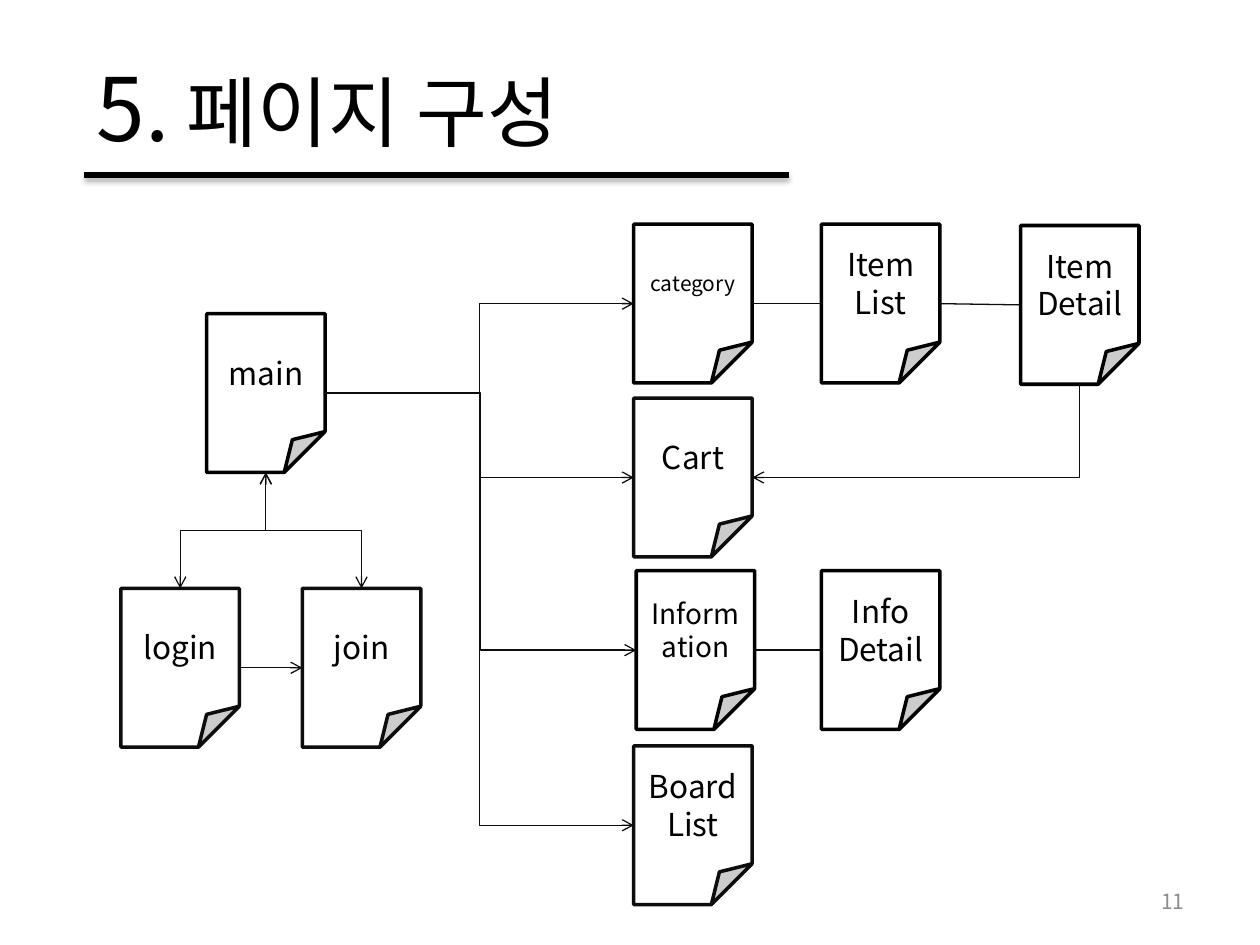
from lxml.etree import SubElement
from pptx import Presentation
from pptx.dml.color import RGBColor
from pptx.enum.shapes import MSO_CONNECTOR as Connector, MSO_SHAPE as Shape
from pptx.enum.text import MSO_ANCHOR as Anchor, PP_ALIGN as Align
from pptx.oxml.ns import qn
from pptx.util import Inches, Pt

FONT = "Noto Sans CJK KR"
BLACK = RGBColor(0x00, 0x00, 0x00)
INK = RGBColor(0x0D, 0x0D, 0x0D)
WHITE = RGBColor(0xFF, 0xFF, 0xFF)
GRAY = RGBColor(0x8C, 0x8C, 0x8C)

PAGE_WIDTH, PAGE_HEIGHT = 0.94, 1.26
FOLD = 34500  # of 100000

# name: (text, left, top, text size, outline)
PAGES = {
    "main": ("main", 1.64, 2.49, 18, BLACK),
    "login": ("login", 0.96, 4.67, 18, INK),
    "join": ("join", 2.40, 4.67, 18, INK),
    "category": ("category", 5.03, 1.78, 12, BLACK),
    "item list": ("Item\nList", 6.52, 1.78, 18, BLACK),
    "item detail": ("Item\nDetail", 8.10, 1.79, 18, BLACK),
    "board": ("Board\nList", 5.03, 5.92, 18, INK),
    "cart": ("Cart", 5.03, 3.16, 18, INK),
    "information": ("Information", 5.05, 4.53, 16, BLACK),
    "info detail": ("Info\nDetail", 6.52, 4.53, 18, BLACK),
}

# (from page, side, to page, side, route, arrowheads)
LINKS = [
    ("login", "top", "main", "bottom", "vertical", ("headEnd", "tailEnd")),
    ("join", "top", "main", "bottom", "vertical", ("headEnd", "tailEnd")),
    ("login", "right", "join", "left", "straight", ("tailEnd",)),
    ("item detail", "bottom", "cart", "right", "corner", ("tailEnd",)),
    ("main", "right", "cart", "left", "horizontal", ("tailEnd",)),
    ("main", "right", "board", "left", "horizontal", ("tailEnd",)),
    ("category", "right", "item list", "left", "straight", ()),
    ("item list", "right", "item detail", "left", "straight", ()),
    ("main", "right", "category", "left", "horizontal", ("tailEnd",)),
    ("information", "right", "info detail", "left", "straight", ()),
    ("main", "right", "information", "left", "horizontal", ("tailEnd",)),
]

# Share of the page's width and height at which each side's midpoint lies
SIDES = {"top": (0.5, 0), "bottom": (0.5, 1), "left": (0, 0.5), "right": (1, 0.5)}


def style_run(run, size, color):
    run.font.name = FONT
    run.font.size = Pt(size)
    run.font.color.rgb = color
    SubElement(run.font._element, qn("a:ea"), typeface=FONT)


def add_text(slide, box, runs, align):
    """Add a one-line text box; runs are (text, size, color)."""
    frame = slide.shapes.add_textbox(*map(Inches, box)).text_frame
    frame.word_wrap = True
    frame.vertical_anchor = Anchor.MIDDLE
    paragraph = frame.paragraphs[0]
    paragraph.alignment = align
    for text, size, color in runs:
        run = paragraph.add_run()
        run.text = text
        style_run(run, size, color)


def add_page(slide, text, left, top, size, outline):
    shape = slide.shapes.add_shape(
        Shape.FOLDED_CORNER, *map(Inches, (left, top, PAGE_WIDTH, PAGE_HEIGHT)))
    # python-pptx lists no adjustment for this preset
    guides = shape._element.spPr.find(qn("a:prstGeom")).find(qn("a:avLst"))
    SubElement(guides, qn("a:gd"), name="adj", fmla=f"val {FOLD}")
    shape.shadow.inherit = False
    shape.fill.solid()
    shape.fill.fore_color.rgb = WHITE
    shape.line.color.rgb = outline
    shape.line.width = Pt(2)
    frame = shape.text_frame
    frame.word_wrap = True
    frame.vertical_anchor = Anchor.MIDDLE
    frame.text = text
    for paragraph in frame.paragraphs:
        paragraph.alignment = Align.CENTER
        style_run(paragraph.runs[0], size, BLACK)


def add_line(slide, kind, start, end, color, width):
    """Add a connector and return it with its empty effect list."""
    connector = slide.shapes.add_connector(kind, *map(Inches, (*start, *end)))
    connector.line.color.rgb = color
    connector.line.width = Pt(width)
    return connector, SubElement(connector._element.spPr, qn("a:effectLst"))


def side_point(name, side):
    _, left, top, _, _ = PAGES[name]
    across, down = SIDES[side]
    return left + across * PAGE_WIDTH, top + down * PAGE_HEIGHT


def quarter_turn_back(start, end):
    """Turn both points a quarter anticlockwise about their midpoint."""
    (x1, y1), (x2, y2) = start, end
    middle_x, middle_y = (x1 + x2) / 2, (y1 + y2) / 2
    half_x, half_y = (x2 - x1) / 2, (y2 - y1) / 2
    return ((middle_x - half_y, middle_y + half_x),
            (middle_x + half_y, middle_y - half_x))


def add_link(slide, source, source_side, target, target_side, route, heads):
    start, end = side_point(source, source_side), side_point(target, target_side)
    leaves_vertically = route in ("vertical", "corner")
    if leaves_vertically:
        start, end = quarter_turn_back(start, end)
    kind = Connector.STRAIGHT if route == "straight" else Connector.ELBOW
    connector, _ = add_line(slide, kind, start, end, INK, 0.75)
    properties = connector._element.spPr
    if leaves_vertically:
        properties.find(qn("a:xfrm")).set("rot", str(90 * 60000))
    if route == "corner":
        properties.find(qn("a:prstGeom")).set("prst", "bentConnector2")
    for head in heads:
        SubElement(properties.find(qn("a:ln")), qn(f"a:{head}"), type="arrow")


def add_title_rule(slide):
    _, effects = add_line(
        slide, Connector.STRAIGHT, (0.67, 1.39), (6.26, 1.39), BLACK, 3)
    shadow = SubElement(
        effects, qn("a:outerShdw"), blurRad=str(int(Pt(3.1))),
        dist=str(int(Pt(1.8))), dir=str(90 * 60000), rotWithShape="0")
    shade = SubElement(shadow, qn("a:srgbClr"), val=str(BLACK))
    SubElement(shade, qn("a:alpha"), val="35000")


def main():
    presentation = Presentation()
    presentation.slide_width, presentation.slide_height = Inches(10), Inches(7.5)
    slide = presentation.slides.add_slide(presentation.slide_layouts[6])
    add_title_rule(slide)
    add_text(slide, (0.67, 0.3, 6.47, 1.09),
             [("5.", 50, BLACK), (" 페이지 구성", 44, BLACK)], Align.LEFT)
    for page in PAGES.values():
        add_page(slide, *page)
    for link in LINKS:
        add_link(slide, *link)
    add_text(slide, (7.17, 6.95, 2.33, 0.4), [("11", 12, GRAY)], Align.RIGHT)
    presentation.save("out.pptx")


if __name__ == "__main__":
    main()
